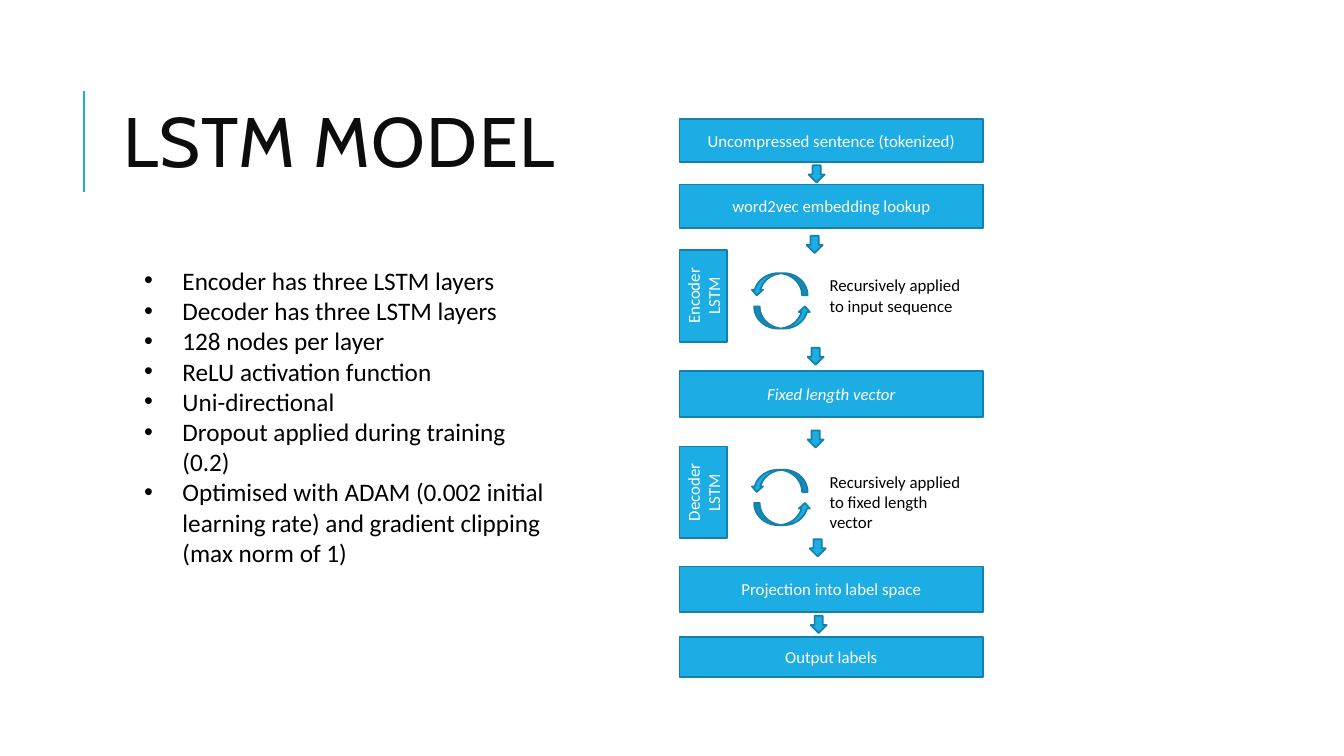
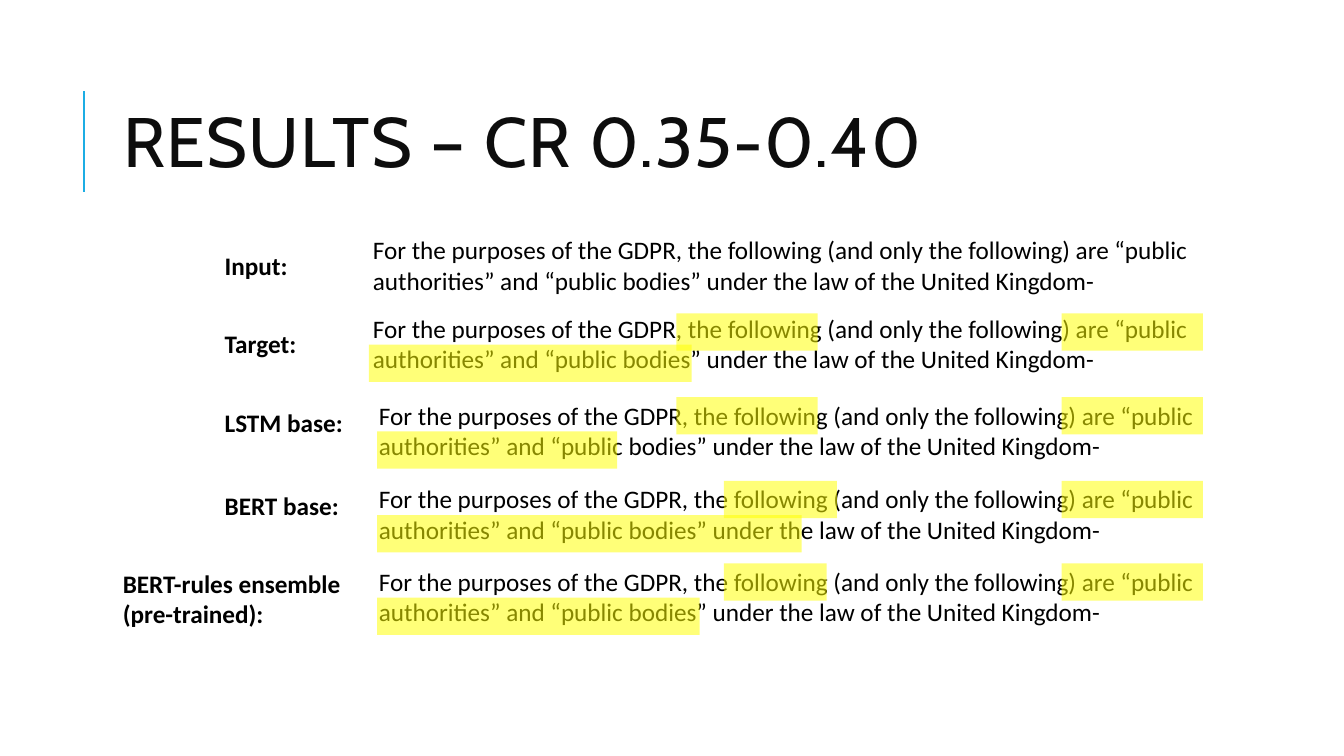
from dataclasses import dataclass

from lxml import etree
from pptx import Presentation
from pptx.dml.color import RGBColor
from pptx.enum.shapes import MSO_CONNECTOR as Connector
from pptx.enum.shapes import MSO_SHAPE as Preset
from pptx.enum.text import MSO_ANCHOR as Anchor
from pptx.enum.text import MSO_AUTO_SIZE as AutoSize
from pptx.enum.text import PP_ALIGN as Align
from pptx.oxml.ns import qn
from pptx.util import Pt

# Shared look: 100 px to the inch
EMU_PER_PX = 9144
BLUE, DARK_BLUE, YELLOW = "1CADE4", "1580A9", "FFFF00"
WHITE, BLACK, TITLE_INK = "FFFFFF", "000000", "0D0D0D"
TITLE_FONT, BODY_FONT = "Cabin", "Calibri"
TITLE_AND_CONTENT, TITLE_ONLY = 1, 5


@dataclass(frozen=True)
class Box:
    left: int
    top: int
    width: int
    height: int

    def emu(self) -> tuple:
        return tuple(px(n) for n in (self.left, self.top, self.width, self.height))


@dataclass(frozen=True)
class Step:
    text: str
    top: int
    height: int
    italic: bool = False


@dataclass(frozen=True)
class Recurrence:
    name: str
    top: int
    caption: str
    caption_width: int


@dataclass(frozen=True)
class Result:
    label: str
    label_box: Box
    left: int
    top: int
    phrase: tuple = ()      # left and width of the first mark
    phrase_drop: int = 2    # from the top of the text to the first line's marks
    lower: tuple = ()       # left and width of the second line's mark


# Slide content
FEATURES = [
    "Encoder has three LSTM layers",
    "Decoder has three LSTM layers",
    "128 nodes per layer",
    "ReLU activation function",
    "Uni-directional",
    "Dropout applied during training (0.2)",
    "Optimised with ADAM (0.002 initial learning rate) and gradient clipping "
    "(max norm of 1)",
]
STEPS = [
    Step("Uncompressed sentence (tokenized)", 118, 43),
    Step("word2vec embedding lookup", 183, 43),
    Step("Fixed length vector", 368, 46, italic=True),
    Step("Projection into label space", 562, 45),
    Step("Output labels", 632, 40),
]
RECURRENCES = [
    Recurrence("Encoder LSTM", 270, "Recursively applied to input sequence", 150),
    Recurrence("Decoder LSTM", 465, "Recursively applied to fixed length vector", 162),
]
DOWN_ARROWS = [(802, 164), (800, 234), (801, 345), (801, 427), (803, 535), (804, 611)]

SENTENCE = (
    "For the purposes of the GDPR, the following (and only the following) are “public "
    "authorities” and “public bodies” under the law of the United Kingdom-"
)
RESULTS = [
    Result("Input:", Box(213, 243, 108, 40), 360, 228),
    Result("Target:", Box(213, 321, 108, 40), 360, 306, (671, 140), 5, (366, 320)),
    Result("LSTM base:", Box(213, 399, 138, 40), 366, 392, (671, 140), 2, (374, 238)),
    Result("BERT base:", Box(213, 482, 138, 40), 366, 475, (718, 112), 2, (374, 421)),
    Result("BERT-rules ensemble (pre-trained):", Box(112, 559, 276, 71), 366, 557,
           (718, 102), 2, (374, 320)),
]
LINE_END_MARK = (1053, 140)
LOWER_DROP, MARK_HEIGHT = 36, 37


def px(length: int) -> int:
    return length * EMU_PER_PX


def colour(code: str) -> RGBColor:
    return RGBColor.from_string(code)


def write_text(text_frame, *texts: str, size: int = 18, font: str = BODY_FONT,
               ink: str = BLACK, bold: bool = False, italic: bool = False,
               align=Align.LEFT, anchor=Anchor.TOP, fit=AutoSize.NONE,
               line_spacing: float = 1.0, tracking: int = 0, hanging: int = 0) -> None:
    """Write one paragraph per text, all in the same format."""
    text_frame.word_wrap = True
    text_frame.auto_size = fit
    text_frame.vertical_anchor = anchor
    for index, text in enumerate(texts):
        paragraph = text_frame.add_paragraph() if index else text_frame.paragraphs[0]
        paragraph.alignment = align
        paragraph.line_spacing = line_spacing
        paragraph.space_before = Pt(0)
        run = paragraph.add_run()
        run.text = text
        run.font.size, run.font.name = Pt(size), font
        run.font.bold, run.font.italic = bold, italic
        run.font.color.rgb = colour(ink)
        if tracking:
            run.font._element.set("spc", str(tracking * 100))
        if hanging:
            properties = paragraph._p.get_or_add_pPr()
            properties.set("marL", str(px(hanging)))
            properties.set("indent", str(-px(hanging)))
            etree.SubElement(properties, qn("a:buFont")).set("typeface", "Arial")
            etree.SubElement(properties, qn("a:buChar")).set("char", "•")


def place(shape, box: Box) -> None:
    shape.left, shape.top, shape.width, shape.height = box.emu()


def add_text(slide, box: Box, text: str, **text_format) -> None:
    text_box = slide.shapes.add_textbox(*box.emu())
    write_text(text_box.text_frame, text, fit=AutoSize.SHAPE_TO_FIT_TEXT, **text_format)


def add_block(slide, preset, box: Box, text: str = "", rotation: int = 0,
              italic: bool = False) -> None:
    """Add an outlined blue shape of the diagram."""
    shape = slide.shapes.add_shape(preset, *box.emu())
    shape.shadow.inherit = False
    shape.rotation = rotation
    shape.fill.solid()
    shape.fill.fore_color.rgb = colour(BLUE)
    shape.line.color.rgb = colour(DARK_BLUE)
    shape.line.width = Pt(1.25)
    if text:
        write_text(shape.text_frame, text, size=12, ink=WHITE, italic=italic,
                   align=Align.CENTER, anchor=Anchor.MIDDLE)


def add_mark(slide, span: tuple, top: int) -> None:
    """Lay a translucent highlight over part of a line."""
    left, width = span
    mark = slide.shapes.add_shape(Preset.RECTANGLE, *Box(left, top, width, MARK_HEIGHT).emu())
    mark.shadow.inherit = False
    mark.line.fill.background()
    mark.fill.solid()
    mark.fill.fore_color.rgb = colour(YELLOW)
    tint = mark.element.spPr.find(f"{qn('a:solidFill')}/{qn('a:srgbClr')}")
    etree.SubElement(tint, qn("a:alpha")).set("val", "53000")


def add_slide(presentation, layout: int, title: str):
    slide = presentation.slides.add_slide(presentation.slide_layouts[layout])
    place(slide.shapes.title, Box(112, 64, 1063, 164))
    write_text(slide.shapes.title.text_frame, title, size=50, font=TITLE_FONT,
               ink=TITLE_INK, anchor=Anchor.MIDDLE, line_spacing=0.8, tracking=1)
    return slide


def add_master_rule(presentation, slide) -> None:
    """Draw the rule beside the title and move it to the slide master."""
    rule = slide.shapes.add_connector(Connector.STRAIGHT, px(83), px(190), px(83), px(90))
    rule.line.color.rgb = colour(BLUE)
    rule.line.width = Pt(1.5)
    etree.SubElement(rule.element.spPr, qn("a:effectLst"))
    presentation.slide_master.shapes.element.append(rule.element)


def add_recurrence(slide, stage: Recurrence) -> None:
    add_block(slide, Preset.RECTANGLE, Box(652, stage.top, 91, 47), stage.name, rotation=270)
    for left, drop, rotation in ((748, 34, 0), (745, 1, 180)):
        add_block(slide, Preset.CURVED_UP_ARROW, Box(left, stage.top + drop, 56, 22),
                  rotation=rotation)
    add_text(slide, Box(813, stage.top - 2, stage.caption_width, 50), stage.caption, size=12)


def build_model_slide(presentation):
    slide = add_slide(presentation, TITLE_AND_CONTENT, "LSTM MODEL")
    # Feature list
    body = slide.placeholders[1]
    place(body, Box(133, 258, 429, 343))
    write_text(body.text_frame, *FEATURES, hanging=38)
    # Flow diagram
    for step in STEPS:
        add_block(slide, Preset.RECTANGLE, Box(674, step.top, 301, step.height),
                  step.text, italic=step.italic)
    for stage in RECURRENCES:
        add_recurrence(slide, stage)
    for left, top in DOWN_ARROWS:
        add_block(slide, Preset.DOWN_ARROW, Box(left, top, 16, 17))
    return slide


def build_results_slide(presentation) -> None:
    slide = add_slide(presentation, TITLE_ONLY, "RESULTS – CR 0.35-0.40")
    for result in RESULTS:
        add_text(slide, result.label_box, result.label, bold=True)
        add_text(slide, Box(result.left, result.top, 843, 71), SENTENCE)
        if result.phrase:
            for span in (result.phrase, LINE_END_MARK):
                add_mark(slide, span, result.top + result.phrase_drop)
            add_mark(slide, result.lower, result.top + LOWER_DROP)


def main() -> None:
    presentation = Presentation()
    presentation.slide_width, presentation.slide_height = px(1333), px(750)
    model_slide = build_model_slide(presentation)
    add_master_rule(presentation, model_slide)
    build_results_slide(presentation)
    presentation.save("out.pptx")


if __name__ == "__main__":
    main()
